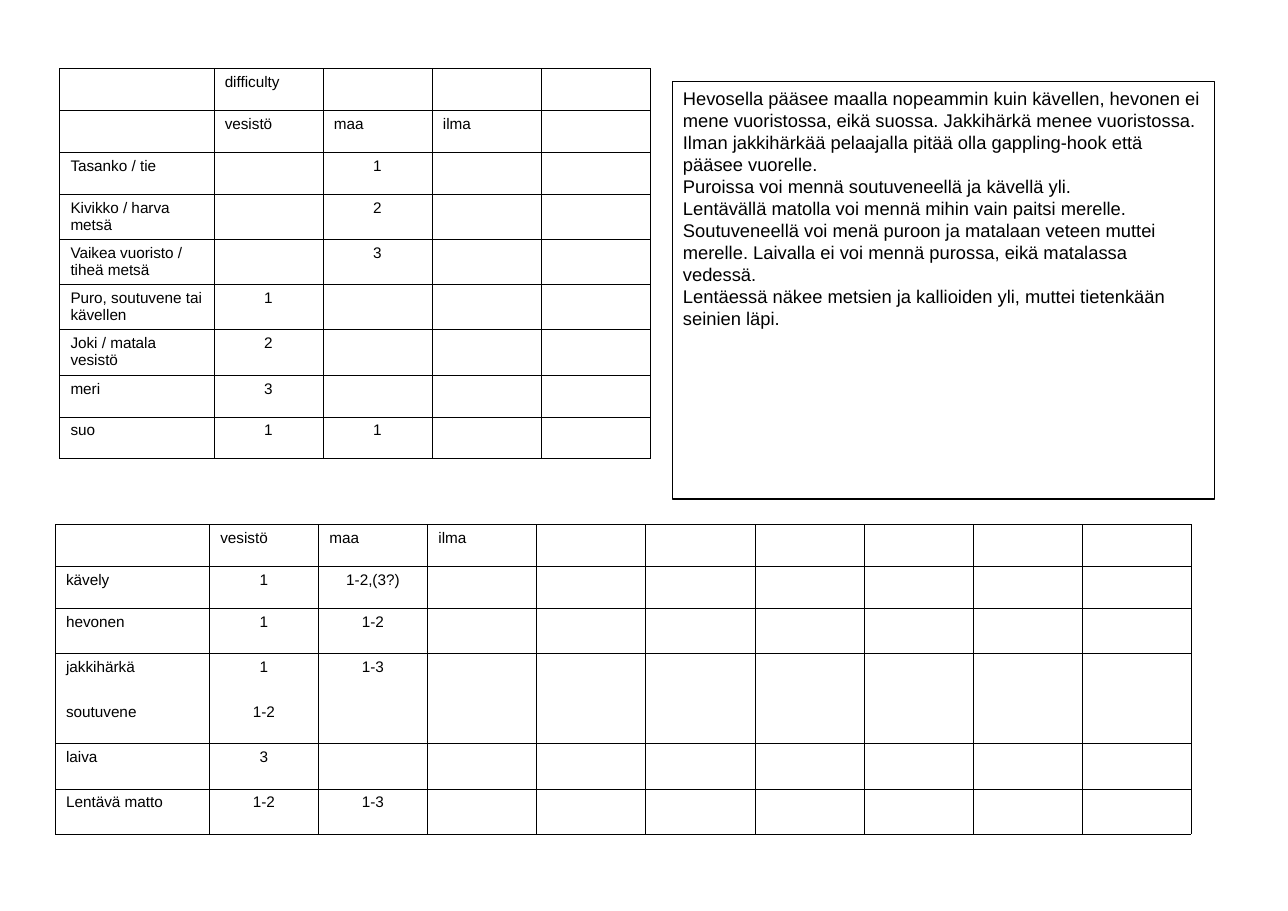
from dataclasses import dataclass

from lxml.etree import SubElement
from pptx import Presentation
from pptx.dml.color import RGBColor
from pptx.enum.shapes import MSO_SHAPE
from pptx.enum.text import MSO_ANCHOR, PP_ALIGN
from pptx.oxml.ns import qn
from pptx.util import Inches, Pt


@dataclass(frozen=True)
class Theme:
    font: str = "Arial"
    ink: RGBColor = RGBColor(0, 0, 0)
    paper: RGBColor = RGBColor(255, 255, 255)
    table_size: Pt = Pt(10)
    body_size: Pt = Pt(12)
    border: Pt = Pt(0.06)


theme = Theme()


def style_paragraph(paragraph, size, alignment=PP_ALIGN.LEFT):
    paragraph.alignment = alignment
    paragraph.font.name = theme.font
    paragraph.font.size = size
    paragraph.font.color.rgb = theme.ink


def draw_borders(cell, open_sides):
    properties = cell._tc.get_or_add_tcPr()
    for side in ("lnL", "lnR", "lnT", "lnB"):
        line = SubElement(properties, qn(f"a:{side}"), w=str(int(theme.border)))
        if side in open_sides:
            SubElement(line, qn("a:noFill"))
        else:
            fill = SubElement(line, qn("a:solidFill"))
            SubElement(fill, qn("a:srgbClr"), val=str(theme.ink))


deck = Presentation()
deck.slide_width = Inches(11.69)
deck.slide_height = Inches(8.27)
page = deck.slides.add_slide(deck.slide_layouts[6])

terrain_rows = [
    (0.38, ["", "difficulty"]),
    (0.38, ["", "vesistö", "maa", "ilma"]),
    (0.38, ["Tasanko / tie", "", "1"]),
    (0.41, ["Kivikko / harva metsä", "", "2"]),
    (0.41, ["Vaikea vuoristo / tiheä metsä", "", "3"]),
    (0.41, ["Puro, soutuvene tai kävellen", "1"]),
    (0.41, ["Joki / matala vesistö", "2"]),
    (0.38, ["meri", "3"]),
    (0.38, ["suo", "1", "1"]),
]
travel_rows = [
    (0.38, ["", "vesistö", "maa", "ilma"]),
    (0.38, ["kävely", "1", "1-2,(3?)"]),
    (0.41, ["hevonen", "1", "1-2"]),
    (0.41, ["jakkihärkä", "1", "1-3"]),
    (0.41, ["soutuvene", "1-2"]),
    (0.41, ["laiva", "3"]),
    (0.41, ["Lentävä matto", "1-2", "1-3"]),
]
open_edges = {"jakkihärkä": ["lnB"], "soutuvene": ["lnT"]}

tables = [
    (0.54, 0.62, 5, terrain_rows),
    (0.5, 4.76, 10, travel_rows),
]
for left, top, column_count, rows in tables:
    widths = [1.4] + [0.99] * (column_count - 1)
    height = sum(row_height for row_height, labels in rows)
    frame = page.shapes.add_table(
        len(rows), column_count, Inches(left), Inches(top), Inches(sum(widths)), Inches(height)
    )
    table = frame.table
    table.first_row = False
    table.horz_banding = False
    for column, width in zip(table.columns, widths):
        column.width = Inches(width)
    for row, (row_height, labels) in zip(table.rows, rows):
        row.height = Inches(row_height)
        padded = labels + [""] * (column_count - len(labels))
        for cell, label in zip(row.cells, padded):
            draw_borders(cell, open_edges.get(labels[0], []))
            cell.fill.solid()
            cell.fill.fore_color.rgb = theme.paper
            cell.margin_left = cell.margin_right = Inches(0.1)
            cell.margin_top = cell.margin_bottom = Inches(0.05 if label else 0)
            paragraph = cell.text_frame.paragraphs[0]
            if label:
                paragraph.text = label
            centred = label[:1].isdigit()
            style_paragraph(
                paragraph, theme.table_size, PP_ALIGN.CENTER if centred else PP_ALIGN.LEFT
            )

travel_rules = [
    "Hevosella pääsee maalla nopeammin kuin kävellen, hevonen ei mene vuoristossa, "
    "eikä suossa. Jakkihärkä menee vuoristossa. Ilman jakkihärkää pelaajalla pitää "
    "olla gappling-hook että pääsee vuorelle.",
    "Puroissa voi mennä soutuveneellä ja kävellä yli.",
    "Lentävällä matolla voi mennä mihin vain paitsi merelle. Soutuveneellä voi menä "
    "puroon ja matalaan veteen muttei merelle. Laivalla ei voi mennä purossa, eikä "
    "matalassa vedessä.",
    "Lentäessä näkee metsien ja kallioiden yli, muttei tietenkään seinien läpi.",
]
rules_box = page.shapes.add_shape(
    MSO_SHAPE.RECTANGLE, Inches(6.1), Inches(0.74), Inches(4.92), Inches(3.79)
)
rules_box.shadow.inherit = False
rules_box.fill.background()
rules_box.line.color.rgb = theme.ink
rules_box.line.width = Pt(0)
rules_frame = rules_box.text_frame
rules_frame.word_wrap = True
rules_frame.vertical_anchor = MSO_ANCHOR.TOP
rules_frame.margin_left = rules_frame.margin_right = Inches(0.1)
rules_frame.margin_top = rules_frame.margin_bottom = Inches(0.05)
rules_frame.text = "\n".join(travel_rules)
for paragraph in rules_frame.paragraphs:
    style_paragraph(paragraph, theme.body_size)

deck.save("out.pptx")
